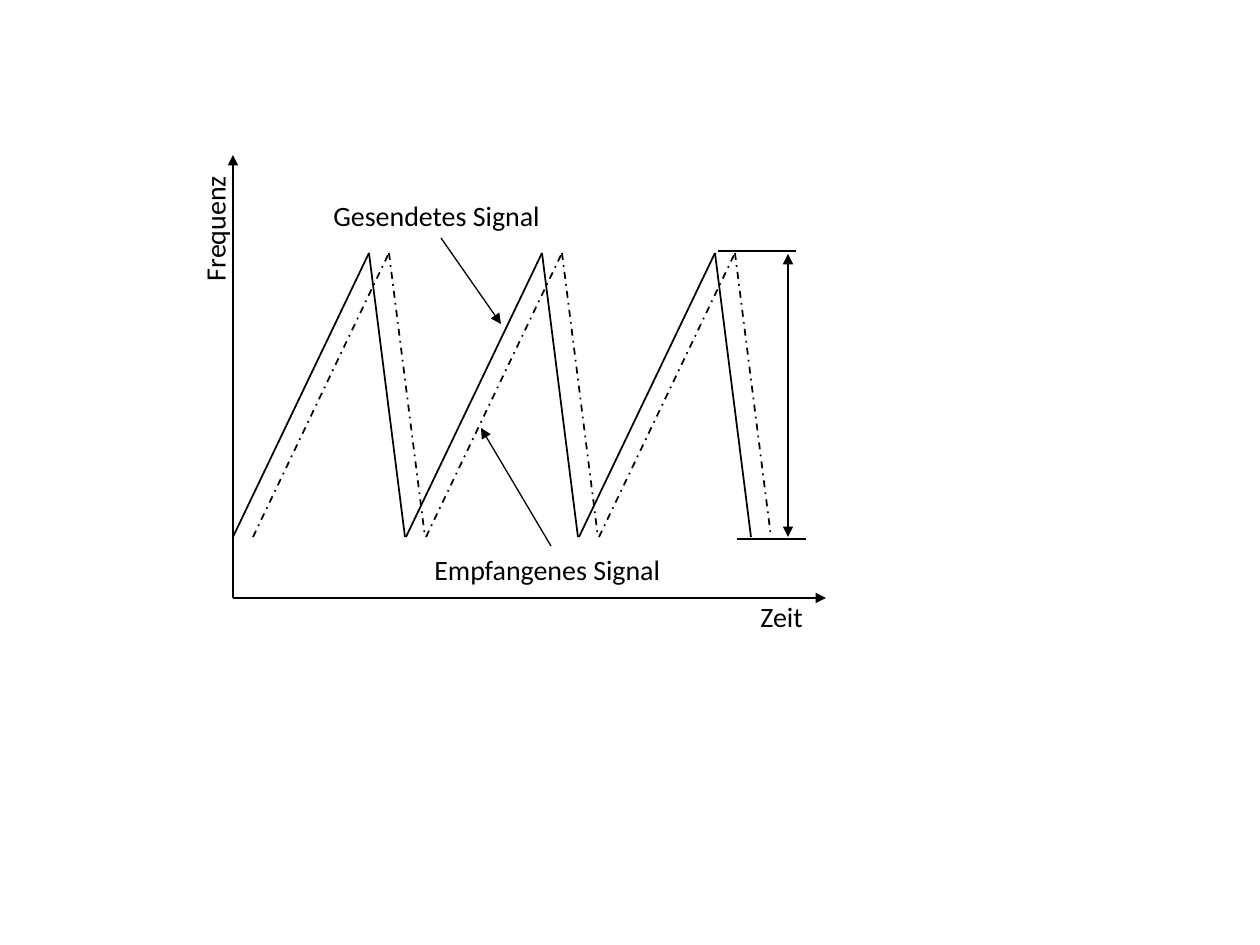
from dataclasses import dataclass

from lxml import etree
from pptx import Presentation
from pptx.dml.color import RGBColor
from pptx.enum.dml import MSO_LINE
from pptx.enum.shapes import MSO_CONNECTOR
from pptx.enum.text import MSO_AUTO_SIZE
from pptx.oxml.ns import qn
from pptx.util import Inches, Pt

STRAIGHT = MSO_CONNECTOR.STRAIGHT
SOLID = MSO_LINE.SOLID
DASH_DOT = MSO_LINE.DASH_DOT
FIT_SHAPE = MSO_AUTO_SIZE.SHAPE_TO_FIT_TEXT
PIXELS_PER_INCH = 126
BLANK_LAYOUT = 6


@dataclass(frozen=True)
class Theme:
    """Hold the colour, type and line widths of the diagram."""
    ink: RGBColor = RGBColor(0, 0, 0)
    font: str = "Calibri"
    text_size: float = 16
    thin: float = 0.75
    normal: float = 1
    thick: float = 1.5


THEME = Theme()


def px(length):
    """Turn whole pixels into EMU."""
    return Inches(length / PIXELS_PER_INCH)


def add_line(slide, box, start, end, width=THEME.normal, dash=SOLID, arrows=()):
    """Draw a straight line between two points of the box."""
    left, top = box[:2]
    connector = slide.shapes.add_connector(
        STRAIGHT, px(left + start[0]), px(top + start[1]),
        px(left + end[0]), px(top + end[1]))
    line_format = {"width": Pt(width), "dash_style": dash}
    for name, value in line_format.items():
        setattr(connector.line, name, value)
    connector.line.color.rgb = THEME.ink
    outline = connector.line._get_or_add_ln()
    for arrow in arrows:
        etree.SubElement(outline, qn(f"a:{arrow}"), type="triangle")
    etree.SubElement(connector._element.spPr, qn("a:effectLst"))


def add_label(slide, box, place, text, wrap=True, rotation=0):
    """Write one label at a place relative to the box."""
    left, top, width, height = place
    shape = slide.shapes.add_textbox(
        px(box[0] + left), px(box[1] + top), px(width), px(height))
    shape.rotation = rotation
    frame = shape.text_frame
    frame_format = {"word_wrap": wrap, "auto_size": FIT_SHAPE, "text": text}
    for name, value in frame_format.items():
        setattr(frame, name, value)
    font = frame.paragraphs[0].runs[0].font
    font_format = {"name": THEME.font, "size": Pt(THEME.text_size)}
    for name, value in font_format.items():
        setattr(font, name, value)
    font.color.rgb = THEME.ink


def add_axes(slide, box):
    """Draw the frequency and time axes with their names."""
    width, height = box[2:]
    origin = (0, height)
    for end in ((0, 0), (width, height)):
        add_line(slide, box, origin, end, arrows=("tailEnd",))
    add_label(slide, box, (-84, 49, 132, 47), "Frequenz", wrap=False, rotation=270)
    add_label(slide, box, (515, 438, 81, 47), "Zeit")


def add_sawtooth(slide, box, dash=SOLID, teeth=3):
    """Draw a sawtooth signal that fills the height of the box."""
    width, height = box[2:]
    rise, fall = 136, 36
    period = (width - rise - fall) / (teeth - 1)
    for tooth in range(teeth):
        start = tooth * period
        peak = (start + rise, 0)
        add_line(slide, box, (start, height), peak, dash=dash)
        add_line(slide, box, peak, (peak[0] + fall, height), dash=dash)


def add_callouts(slide, box):
    """Name the two signals and point at them."""
    add_label(slide, box, (88, 37, 238, 47), "Gesendetes Signal")
    add_label(slide, box, (189, 391, 258, 47), "Empfangenes Signal")
    for start, end in (((208, 83), (268, 169)), ((318, 391), (248, 273))):
        add_line(slide, box, start, end, THEME.thin, arrows=("tailEnd",))


def add_frequency_span(slide, box):
    """Mark the frequency range with two bars and a double arrow."""
    height = box[3]
    add_line(slide, box, (0, 0), (78, 0), THEME.thick)
    add_line(slide, box, (19, height), (88, height), THEME.thick)
    add_line(slide, box, (70, 3), (70, height - 2), arrows=("headEnd", "tailEnd"))


def main():
    """Build the slide and save it."""
    presentation = Presentation()
    presentation.slide_width = Inches(10)
    presentation.slide_height = Inches(7.5)
    slide = presentation.slides.add_slide(presentation.slide_layouts[BLANK_LAYOUT])
    diagram = (233, 155, 593, 443)
    add_axes(slide, diagram)
    add_callouts(slide, diagram)
    add_sawtooth(slide, (233, 253, 518, 284))
    add_sawtooth(slide, (253, 253, 518, 284), DASH_DOT)
    add_frequency_span(slide, (718, 251, 88, 288))
    presentation.save("out.pptx")


if __name__ == "__main__":
    main()
